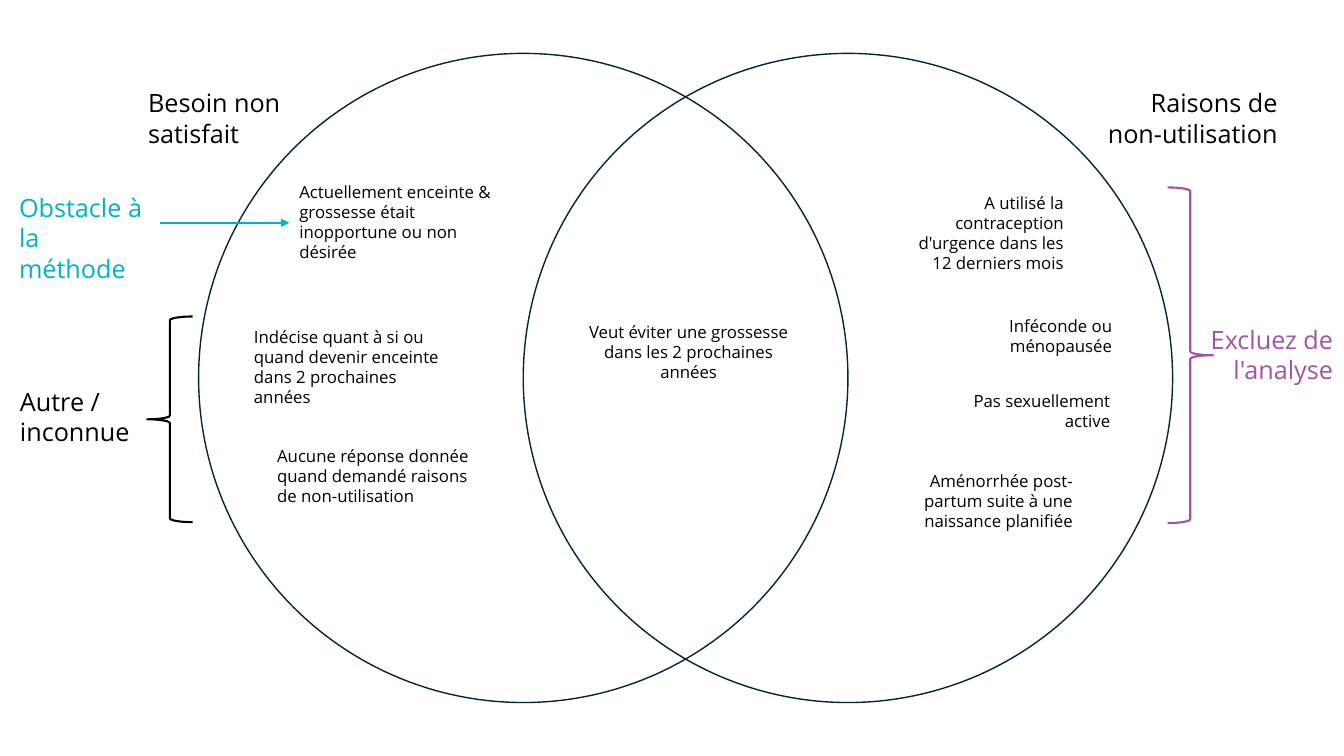
from lxml.etree import SubElement
from pptx import Presentation
from pptx.dml.color import RGBColor
from pptx.enum.shapes import MSO_CONNECTOR, MSO_SHAPE
from pptx.enum.text import MSO_AUTO_SIZE, PP_ALIGN
from pptx.oxml.ns import qn
from pptx.util import Inches, Pt

FONT = "Open Sans"
BLACK, NAVY, CYAN, PURPLE = "000000", "002539", "00B1CD", "A3539F"
LEFT, CENTER, RIGHT = PP_ALIGN.LEFT, PP_ALIGN.CENTER, PP_ALIGN.RIGHT

HEADINGS = [
    ("Besoin non satisfait", (1.37, 0.82, 1.51, 0.71), LEFT, BLACK),
    ("Raisons de\nnon-utilisation", (10.71, 0.82, 2.06, 0.71), RIGHT, BLACK),
    ("Obstacle à la méthode", (0.09, 1.86, 1.51, 0.71), LEFT, CYAN),
    ("Autre /\ninconnue", (0.1, 3.78, 1.3, 0.71), LEFT, BLACK),
    ("Excluez de l'analyse", (11.84, 3.17, 1.48, 0.71), RIGHT, PURPLE),
]
UNMET_NEED = [
    ("Actuellement enceinte & grossesse était inopportune ou non désirée", (2.87, 1.75, 2.18, 0.91)),
    ("Indécise quant à si ou quand devenir enceinte dans 2 prochaines années", (2.42, 3.19, 2.18, 0.71)),
    ("Aucune réponse donnée quand demandé raisons de non-utilisation", (2.65, 4.37, 2.18, 0.71)),
]
BOTH = [("Veut éviter une grossesse dans les 2 prochaines années", (5.74, 3.14, 2.18, 0.71))]
NON_USE_REASONS = [
    ("A utilisé la contraception d'urgence dans les 12 derniers mois", (8.98, 1.86, 1.67, 0.91)),
    ("Inféconde ou ménopausée", (9.07, 3.08, 2.06, 0.5)),
    ("Pas sexuellement active", (9.36, 3.83, 1.75, 0.5)),
    ("Aménorrhée post-partum suite à une naissance planifiée", (8.76, 4.62, 1.98, 0.71)),
]
DIAMETER = 6.44
CIRCLE_LEFT, CIRCLE_TOP = 1.97, 0.53
OUTLINES = [
    (MSO_SHAPE.OVAL, (CIRCLE_LEFT + side * DIAMETER / 2, CIRCLE_TOP, DIAMETER, DIAMETER), NAVY, 1)
    for side in range(2)
] + [
    (MSO_SHAPE.LEFT_BRACE, (1.46, 3.14, 0.45, 2.04), BLACK, 1.5),
    (MSO_SHAPE.RIGHT_BRACE, (11.58, 1.86, 0.45, 3.33), PURPLE, 1.5),
]


def paint(color_format, color):
    color_format.rgb = RGBColor.from_string(color)


def add_label(slide, text, box, align, size, color=BLACK):
    label = slide.shapes.add_textbox(*map(Inches, box))
    frame = label.text_frame
    frame.word_wrap = True
    frame.auto_size = MSO_AUTO_SIZE.SHAPE_TO_FIT_TEXT
    frame.text = text
    for paragraph in frame.paragraphs:
        paragraph.alignment = align
        for run in paragraph.runs:
            run.font.name, run.font.size = FONT, Pt(size)
            paint(run.font.color, color)


def add_outline(slide, kind, box, color, weight):
    outline = slide.shapes.add_shape(kind, *map(Inches, box))
    outline.shadow.inherit = False
    outline.fill.background()
    paint(outline.line.color, color)
    outline.line.width = Pt(weight)


def add_arrow(slide, start, end, color):
    arrow = slide.shapes.add_connector(MSO_CONNECTOR.STRAIGHT, *map(Inches, start + end))
    paint(arrow.line.color, color)
    arrow.line.width = Pt(1.5)
    SubElement(arrow.line._get_or_add_ln(), qn("a:tailEnd"), type="triangle")
    SubElement(arrow._element.spPr, qn("a:effectLst"))


def build():
    """Build the Venn diagram of unmet need and reasons for non-use."""
    deck = Presentation()
    deck.slide_width, deck.slide_height = Inches(13.33), Inches(7.5)
    slide = deck.slides.add_slide(deck.slide_layouts[6])
    for outline in OUTLINES:
        add_outline(slide, *outline)
    for reasons, align in ((UNMET_NEED, LEFT), (BOTH, CENTER), (NON_USE_REASONS, RIGHT)):
        for text, box in reasons:
            add_label(slide, text, box, align, 12)
    add_arrow(slide, (1.59, 2.21), (2.87, 2.21), CYAN)
    for text, box, align, color in HEADINGS:
        add_label(slide, text, box, align, 18, color)
    deck.save("out.pptx")


build()
